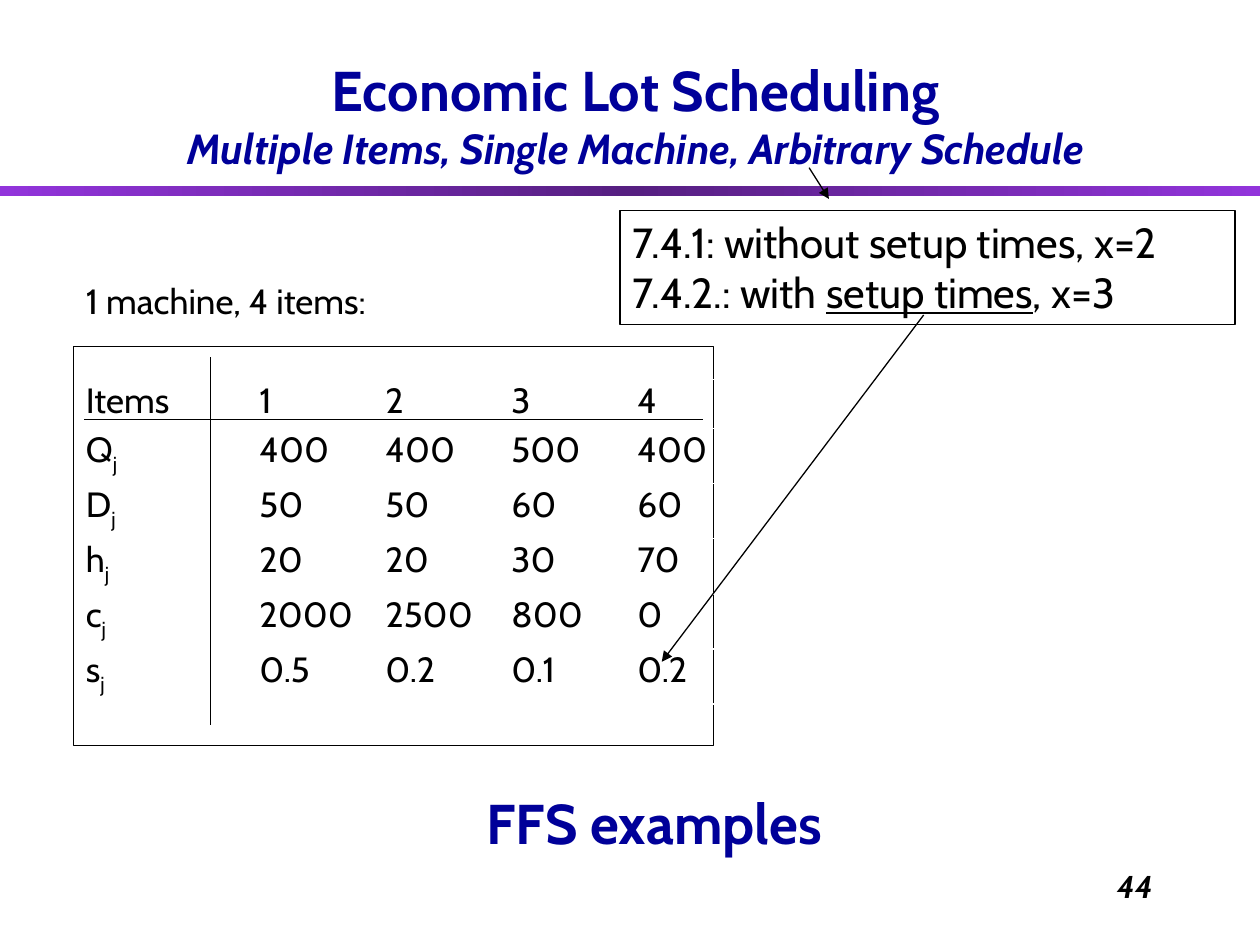
from copy import deepcopy
from dataclasses import dataclass

from lxml.etree import SubElement
from pptx import Presentation
from pptx.dml.color import RGBColor
from pptx.enum.shapes import MSO_CONNECTOR, MSO_SHAPE
from pptx.enum.text import MSO_ANCHOR, PP_ALIGN
from pptx.oxml.ns import qn
from pptx.util import Cm, Pt


@dataclass(frozen=True)
class Theme:
    font: str = "Cabin"
    ink: RGBColor = RGBColor(0, 0, 0)
    heading: RGBColor = RGBColor(0, 0, 0x99)
    bar_edge: RGBColor = RGBColor(0x92, 0x34, 0xDB)
    bar_middle: RGBColor = RGBColor(0x56, 0x1F, 0x81)
    title_size: int = 32
    subtitle_size: int = 24
    callout_size: int = 24
    body_size: int = 20
    number_size: int = 18
    line_width: float = 0.75


THEME = Theme()

TITLE = "Economic Lot Scheduling"
SUBTITLE = "Multiple Items, Single Machine, Arbitrary Schedule"
CAPTION = "1 machine, 4 items:"
CLOSING = "FFS examples"
SLIDE_NUMBER = "44"
CALLOUT = [
    [("7.4.1: without setup times, x=2", False)],
    [("7.4.2.: with ", False), ("setup times", True), (", x=3", False)],
]
ITEMS = [
    ("Items", "", ["1", "2", "3", "4"]),
    ("Q", "j", ["400", "400", "500", "400"]),
    ("D", "j", ["50", "50", "60", "60"]),
    ("h", "j", ["20", "20", "30", "70"]),
    ("c", "j", ["2000", "2500", "800", "0"]),
    ("s", "j", ["0.5", "0.2", "0.1", "0.2"]),
]
TABLE_LEFT, TABLE_TOP = 1.73, 7.65
LABEL_WIDTH, VALUE_WIDTH = 3.5, 2.54
HEADER_HEIGHT, ROW_HEIGHT = 0.99, 1.11
LINES = [
    ((1.7, 8.46), (14.17, 8.46), False),
    ((4.24, 7.2), (4.24, 14.61), False),
    ((16.31, 3.38), (16.71, 4.01), True),
    ((18.62, 6.35), (13.34, 13.34), True),
]


def add_run(paragraph, text, size, color=THEME.ink, bold=False, italic=False):
    run = paragraph.add_run()
    run.text = text
    font = run.font
    font.name, font.size = THEME.font, Pt(size)
    font.bold, font.italic = bold, italic
    font.color.rgb = color
    return run


def add_text_box(slide, box, align=PP_ALIGN.LEFT, anchor=MSO_ANCHOR.TOP):
    shape = slide.shapes.add_textbox(*map(Cm, box))
    shape.text_frame.word_wrap = True
    shape.text_frame.vertical_anchor = anchor
    paragraph = shape.text_frame.paragraphs[0]
    paragraph.alignment = align
    return paragraph


def add_rectangle(slide, box):
    shape = slide.shapes.add_shape(MSO_SHAPE.RECTANGLE, *map(Cm, box))
    shape.shadow.inherit = False
    shape.fill.background()
    shape.line.color.rgb = THEME.ink
    shape.line.width = Pt(THEME.line_width)
    return shape


def add_bar(slide):
    bar = add_rectangle(slide, (0, 3.76, 25.4, 0.2))
    bar.line.fill.background()
    bar.fill.gradient()
    bar.fill.gradient_angle = 0
    stop_list = bar.element.spPr.find(".//" + qn("a:gsLst"))
    stop_list.insert(1, deepcopy(stop_list[0]))
    colors = (THEME.bar_edge, THEME.bar_middle, THEME.bar_edge)
    for stop, color, position in zip(bar.fill.gradient_stops, colors, (0, 0.5, 1)):
        stop.color.rgb = color
        stop.position = position


def add_line(slide, start, end, arrow):
    line = slide.shapes.add_connector(MSO_CONNECTOR.STRAIGHT, *map(Cm, start + end))
    line.line.color.rgb = THEME.ink
    line.line.width = Pt(THEME.line_width)
    if arrow:
        SubElement(line.line._get_or_add_ln(), qn("a:tailEnd"), type="triangle")
    SubElement(line.element.spPr, qn("a:effectLst"))


def add_items_table(slide):
    value_count = len(ITEMS[0][2])
    widths = [LABEL_WIDTH] + [VALUE_WIDTH] * value_count
    heights = [HEADER_HEIGHT] + [ROW_HEIGHT] * (len(ITEMS) - 1)
    table = slide.shapes.add_table(
        len(heights), len(widths), Cm(TABLE_LEFT), Cm(TABLE_TOP),
        Cm(sum(widths)), Cm(sum(heights)),
    ).table
    table.first_row = table.horz_banding = False
    for column, width in zip(table.columns, widths):
        column.width = Cm(width)
    for row, height, (label, subscript, values) in zip(table.rows, heights, ITEMS):
        row.height = Cm(height)
        for cell, text in zip(row.cells, [label] + values):
            cell.fill.background()
            cell.margin_left = cell.margin_right = 0
            cell.margin_top = cell.margin_bottom = 0
            add_run(cell.text_frame.paragraphs[0], text, THEME.body_size)
        if subscript:
            paragraph = row.cells[0].text_frame.paragraphs[0]
            run = add_run(paragraph, subscript, THEME.body_size)
            run.font._element.set("baseline", "-25000")


def add_callout(slide):
    text_frame = add_rectangle(slide, (12.5, 4.24, 12.4, 2.31)).text_frame
    text_frame.word_wrap = False
    text_frame.vertical_anchor = MSO_ANCHOR.TOP
    for index, parts in enumerate(CALLOUT):
        paragraph = text_frame.add_paragraph() if index else text_frame.paragraphs[0]
        paragraph.alignment = PP_ALIGN.LEFT
        for text, underlined in parts:
            add_run(paragraph, text, THEME.callout_size).font.underline = underlined


def main():
    presentation = Presentation()
    presentation.slide_width, presentation.slide_height = Cm(25.4), Cm(19.05)
    slide = presentation.slides.add_slide(presentation.slide_layouts[6])

    add_bar(slide)
    number = add_text_box(slide, (18.21, 17.35, 5.28, 1.27), PP_ALIGN.RIGHT)
    add_run(number, SLIDE_NUMBER, THEME.number_size, bold=True, italic=True)
    closing = add_text_box(
        slide, (1.9, 16.51, 22.58, 0.86), PP_ALIGN.CENTER, MSO_ANCHOR.BOTTOM
    )
    add_run(closing, CLOSING, THEME.title_size, THEME.heading, bold=True)
    caption = add_text_box(slide, (1.48, 5.51, 10, 1.1))
    add_run(caption, CAPTION, THEME.body_size)

    add_rectangle(slide, (1.48, 6.99, 12.9, 8.04))
    add_items_table(slide)
    add_callout(slide)
    for start, end, arrow in LINES:
        add_line(slide, start, end, arrow)

    title = add_text_box(
        slide, (1.7, 0.43, 22.23, 3.18), PP_ALIGN.CENTER, MSO_ANCHOR.BOTTOM
    )
    add_run(title, TITLE, THEME.title_size, THEME.heading, bold=True)
    title.add_line_break()
    add_run(title, SUBTITLE, THEME.subtitle_size, THEME.heading, bold=True, italic=True)

    presentation.save("out.pptx")


if __name__ == "__main__":
    main()
